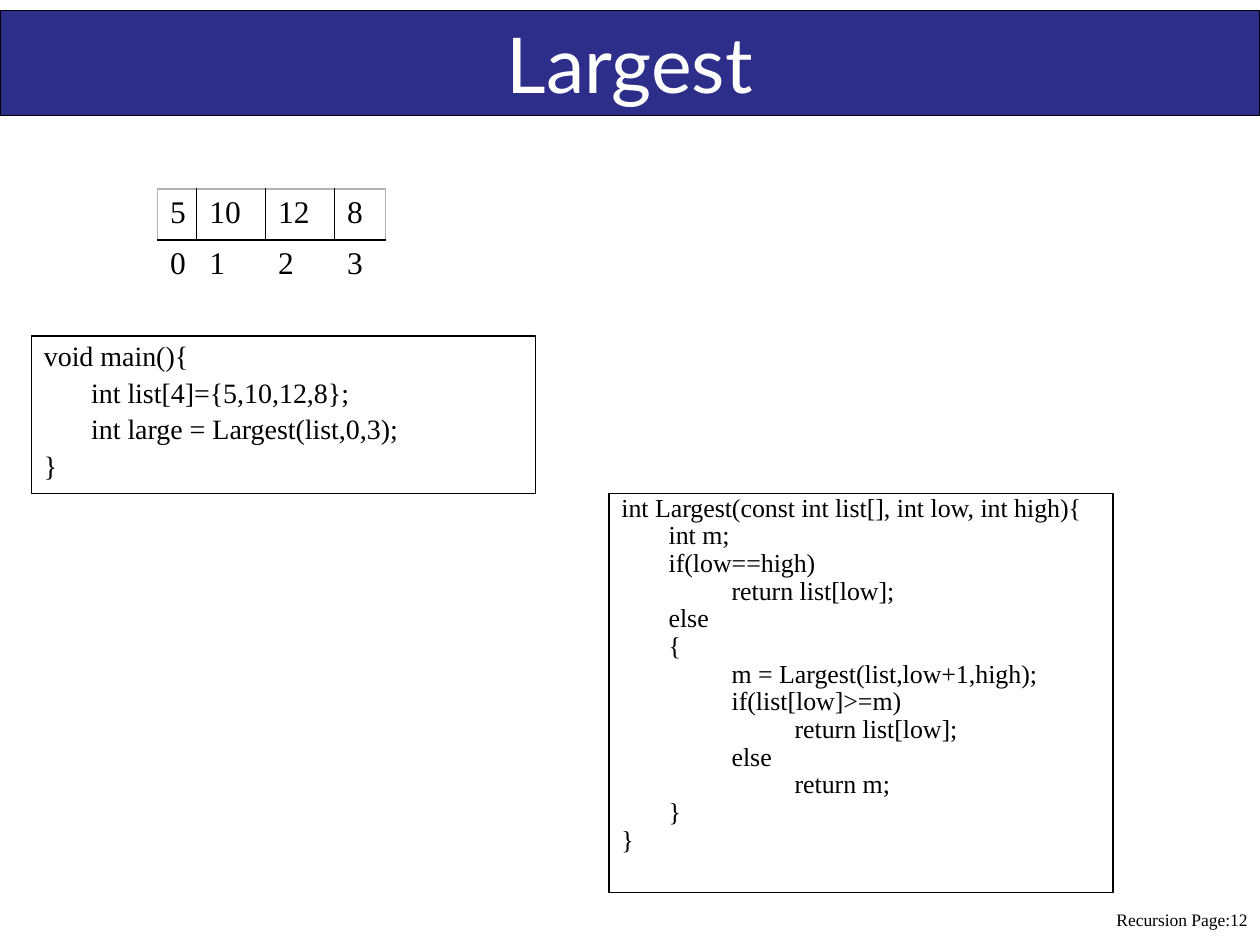
from dataclasses import dataclass

from lxml import etree
from pptx import Presentation
from pptx.dml.color import RGBColor
from pptx.enum.shapes import MSO_SHAPE
from pptx.enum.text import MSO_ANCHOR, PP_ALIGN
from pptx.oxml.ns import qn
from pptx.util import Pt

RECTANGLE = MSO_SHAPE.RECTANGLE
TOP, MIDDLE = MSO_ANCHOR.TOP, MSO_ANCHOR.MIDDLE
LEFT, CENTER, RIGHT = PP_ALIGN.LEFT, PP_ALIGN.CENTER, PP_ALIGN.RIGHT
HANGING_INDENT = 27


@dataclass(frozen=True)
class Theme:
    ink: str = "000000"
    paper: str = "FFFFFF"
    banner: str = "2D2D8A"
    edge: str = "B2B2B2"
    heading_font: str = "Lato"
    body_font: str = "Times New Roman"
    title_size: float = 44
    table_size: float = 18
    main_size: float = 16
    function_size: float = 14.8
    footer_size: float = 10
    outline: float = 0.75
    rule: float = 1


THEME = Theme()

MAIN_CODE = """void main(){
\tint list[4]={5,10,12,8};
\tint large = Largest(list,0,3);
}"""

LARGEST_CODE = """int Largest(const int list[], int low, int high){
\tint m;
\tif(low==high)
\t\treturn list[low];
\telse
\t{
\t\tm = Largest(list,low+1,high);
\t\tif(list[low]>=m)
\t\t\treturn list[low];
\t\telse
\t\t\treturn m;
\t}
}"""


def set_attributes(target, values):
    for name, value in values.items():
        setattr(target, name, value)


def write_line(paragraph, text, size, font=THEME.body_font, color=THEME.ink, **layout):
    set_attributes(paragraph, layout)
    run = paragraph.add_run()
    run.text = text
    set_attributes(run.font, {"name": font, "size": Pt(size)})
    run.font.color.rgb = RGBColor.from_string(color)


def add_panel(slide, box, anchor, fill=None):
    shape = slide.shapes.add_shape(RECTANGLE, *map(Pt, box))
    shape.shadow.inherit = False
    if fill:
        shape.fill.solid()
        shape.fill.fore_color.rgb = RGBColor.from_string(fill)
    else:
        shape.fill.background()
    shape.line.color.rgb = RGBColor.from_string(THEME.ink)
    shape.line.width = Pt(THEME.outline)
    set_attributes(shape.text_frame, {"word_wrap": True, "vertical_anchor": anchor})
    return shape.text_frame


def add_title(slide, box, text):
    frame = add_panel(slide, box, MIDDLE, THEME.banner)
    write_line(frame.paragraphs[0], text, THEME.title_size, THEME.heading_font,
               THEME.paper, alignment=CENTER)


def add_code(slide, box, code, size, line_spacing, space_before):
    frame = add_panel(slide, box, TOP)
    for index, line in enumerate(code.split("\n")):
        paragraph = frame.add_paragraph() if index else frame.paragraphs[0]
        write_line(paragraph, line, size, alignment=LEFT, line_spacing=line_spacing,
                   space_before=Pt(space_before))
        properties = paragraph._p.get_or_add_pPr()
        properties.set("marL", str(Pt(HANGING_INDENT)))
        properties.set("indent", str(-Pt(HANGING_INDENT)))


def set_borders(cell, colors):
    properties = cell._tc.get_or_add_tcPr()
    for side in ("L", "R", "T", "B"):
        color = colors.get(side)
        border = etree.SubElement(properties, qn(f"a:ln{side}"), w=str(Pt(THEME.rule)))
        if color:
            fill = etree.SubElement(border, qn("a:solidFill"))
            etree.SubElement(fill, qn("a:srgbClr"), val=color)
        else:
            etree.SubElement(border, qn("a:noFill"))


def add_array(slide, box, values, column_widths):
    rows = (values, range(len(values)))
    table = slide.shapes.add_table(len(rows), len(values), *map(Pt, box)).table
    set_attributes(table, {"first_row": False, "horz_banding": False})
    for column, width in zip(table.columns, column_widths):
        column.width = Pt(width)
    last = len(values) - 1
    for row_index, row in enumerate(rows):
        for column_index, value in enumerate(row):
            cell = table.cell(row_index, column_index)
            if row_index == 0:
                borders = {
                    "L": THEME.ink if column_index else THEME.edge,
                    "R": THEME.ink if column_index < last else THEME.edge,
                    "T": THEME.edge,
                    "B": THEME.ink,
                }
            else:
                borders = {"T": THEME.ink}
            set_borders(cell, borders)
            cell.fill.background()
            write_line(cell.text_frame.paragraphs[0], str(value), THEME.table_size)


def add_footer(slide, box, text):
    frame = slide.shapes.add_textbox(*map(Pt, box)).text_frame
    frame.word_wrap = True
    write_line(frame.paragraphs[0], text, THEME.footer_size, alignment=RIGHT)


def main():
    presentation = Presentation()
    set_attributes(presentation, {"slide_width": Pt(720), "slide_height": Pt(540)})
    slide = presentation.slides.add_slide(presentation.slide_layouts[6])
    add_footer(slide, (384, 516, 336, 24), "Recursion Page:12")
    add_title(slide, (0, 6, 720, 60), "Largest")
    add_code(slide, (348, 282, 288, 228), LARGEST_CODE, THEME.function_size, 0.7, 3.4)
    add_code(slide, (18, 192, 288, 90), MAIN_CODE, THEME.main_size, 0.9, 3.7)
    add_array(slide, (90, 108, 130.5, 58.4), (5, 10, 12, 8), (22.4, 39.4, 39.4, 29.3))
    presentation.save("out.pptx")


if __name__ == "__main__":
    main()
